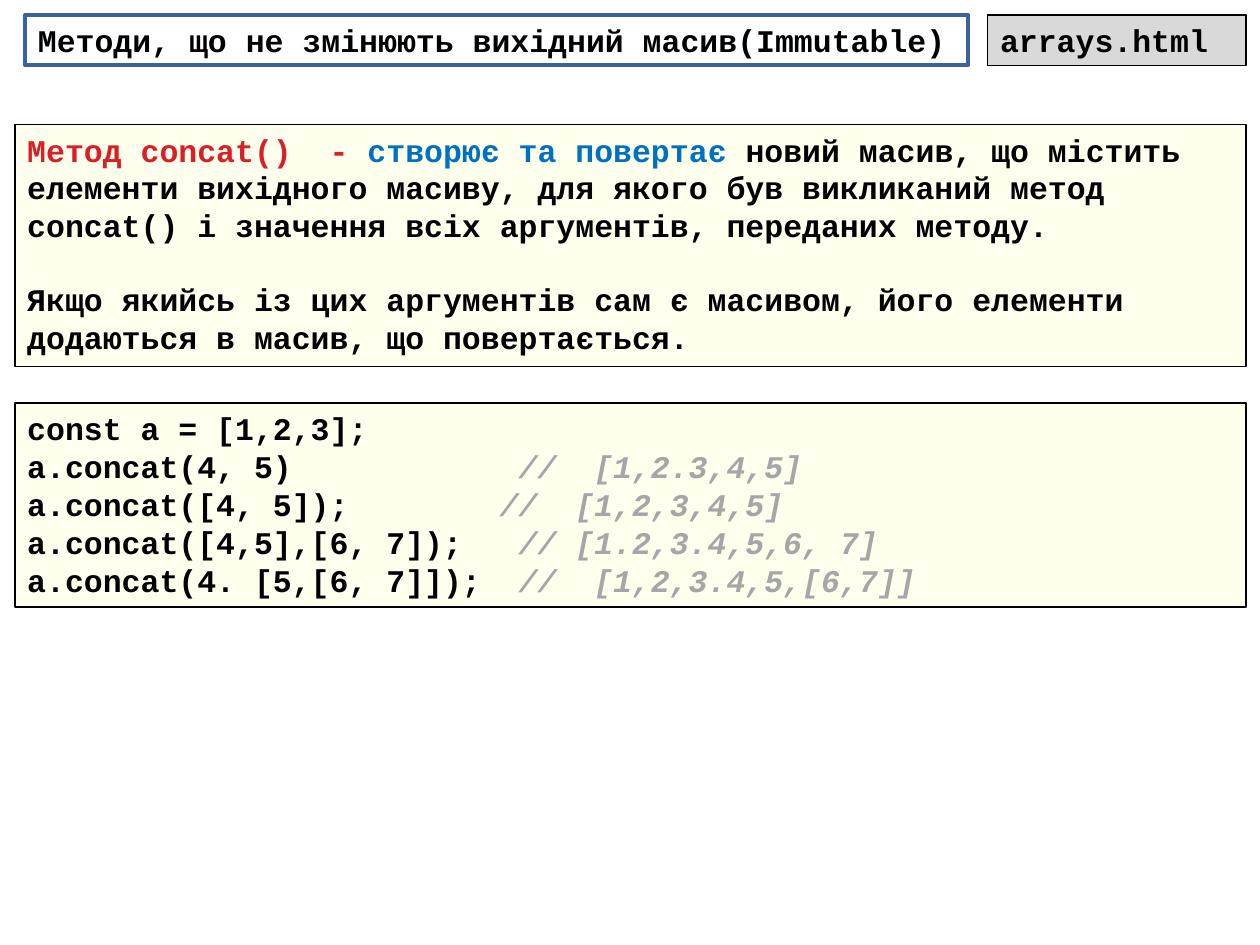
from lxml import etree
from pptx import Presentation
from pptx.dml.color import RGBColor
from pptx.enum.shapes import MSO_SHAPE
from pptx.enum.text import MSO_ANCHOR, MSO_AUTO_SIZE, PP_ALIGN
from pptx.oxml.ns import qn
from pptx.util import Cm, Pt

RECT = MSO_SHAPE.RECTANGLE
LEFT = PP_ALIGN.LEFT
TOP, MIDDLE = MSO_ANCHOR.TOP, MSO_ANCHOR.MIDDLE
FIXED, GROW = MSO_AUTO_SIZE.NONE, MSO_AUTO_SIZE.SHAPE_TO_FIT_TEXT
BLACK, WHITE, RED, BLUE = "000000", "FFFFFF", "DA1F28", "0070C0"
NAVY, YELLOW, SILVER, GRAY = "39639D", "FFFF00", "D9D9D9", "A6A6A6"
CHAR_CM = 0.381
MARGIN, WIDE = 0.3, 24.82


def rgb(value):
    return RGBColor.from_string(value)


class Deck:
    font = {"name": "Courier New", "size": Pt(18), "bold": True}

    def __init__(self, prs):
        self.s = prs.slides.add_slide(prs.slide_layouts[5])

    def paint(self, sp, fill, line, width, alpha=None):
        sp.fill.solid()
        sp.fill.fore_color.rgb = rgb(fill)
        sp.line.color.rgb = rgb(line)
        sp.line.width = Pt(width)
        if alpha:
            color = sp._element.spPr.find(qn("a:solidFill"))[0]
            etree.SubElement(color, qn("a:alpha"), val=str(alpha * 1000))

    def fill_text(self, tf, paragraphs, anchor=TOP, fit=GROW):
        layout = {"word_wrap": True, "vertical_anchor": anchor, "auto_size": fit}
        for key, value in layout.items():
            setattr(tf, key, value)
        for i, runs in enumerate(paragraphs):
            p = tf.paragraphs[0] if i == 0 else tf.add_paragraph()
            p.alignment = LEFT
            for text, color, italic in runs:
                r = p.add_run()
                r.text = text
                for key, value in {**self.font, "italic": italic}.items():
                    setattr(r.font, key, value)
                r.font.color.rgb = rgb(color)

    def title(self, box, text):
        sp = self.s.shapes.title
        sp.left, sp.top, sp.width, sp.height = map(Cm, box)
        self.paint(sp, WHITE, NAVY, 2.25)
        self.fill_text(sp.text_frame, [[(text, BLACK, False)]], MIDDLE, FIXED)

    def panel(self, box, paragraphs, fill=YELLOW, alpha=7):
        sp = self.s.shapes.add_shape(RECT, *map(Cm, box))
        sp.shadow.inherit = False
        self.paint(sp, fill, BLACK, 1, alpha)
        self.fill_text(sp.text_frame, paragraphs)
        return sp.text_frame

    def tab_stop(self, p, column):
        tabs = etree.SubElement(p._p.get_or_add_pPr(), qn("a:tabLst"))
        etree.SubElement(tabs, qn("a:tab"), pos=str(Cm(column * CHAR_CM)), algn="l")


def main():
    prs = Presentation()
    prs.slide_width, prs.slide_height = Cm(25.4), Cm(19.05)
    deck = Deck(prs)

    deck.title((0.51, 0.3, 19, 1.02), "Методи, що не змінюють вихідний масив(Immutable)")
    deck.panel((19.91, 0.3, 5.21, 1.02), [[("arrays.html", BLACK, False)]], SILVER, None)

    tf = deck.panel((MARGIN, 2.51, WIDE, 4.88), [
        [("Метод concat()  - ", RED, False),
         ("створює та повертає ", BLUE, False),
         ("новий масив, що містить елементи вихідного масиву, "
          "для якого був викликаний метод", BLACK, False)],
        [("concat() і значення всіх аргументів, переданих методу.", BLACK, False)],
        [("Якщо якийсь із цих аргументів сам є масивом, його елементи "
          "додаються в масив, що повертається.", BLACK, False)],
    ])
    tf.paragraphs[-1].space_before = Pt(20.4)

    calls = [
        ("a.concat(4, 5)", 26, "//  [1,2.3,4,5]"),
        ("a.concat([4, 5]);", 25, "//  [1,2,3,4,5]"),
        ("a.concat([4,5],[6, 7]);", 26, "// [1.2,3.4,5,6, 7]"),
        ("a.concat(4. [5,[6, 7]]);", 26, "//  [1,2,3.4,5,[6,7]]"),
    ]
    code = [[("const a = [1,2,3];", BLACK, False)]]
    code += [[(call + "\t", BLACK, False), (note, GRAY, True)] for call, _, note in calls]
    tf = deck.panel((MARGIN, 8.13, WIDE, 4.11), code)
    for p, (_, column, _) in zip(tf.paragraphs[1:], calls):
        deck.tab_stop(p, column)

    prs.save("out.pptx")


if __name__ == "__main__":
    main()
